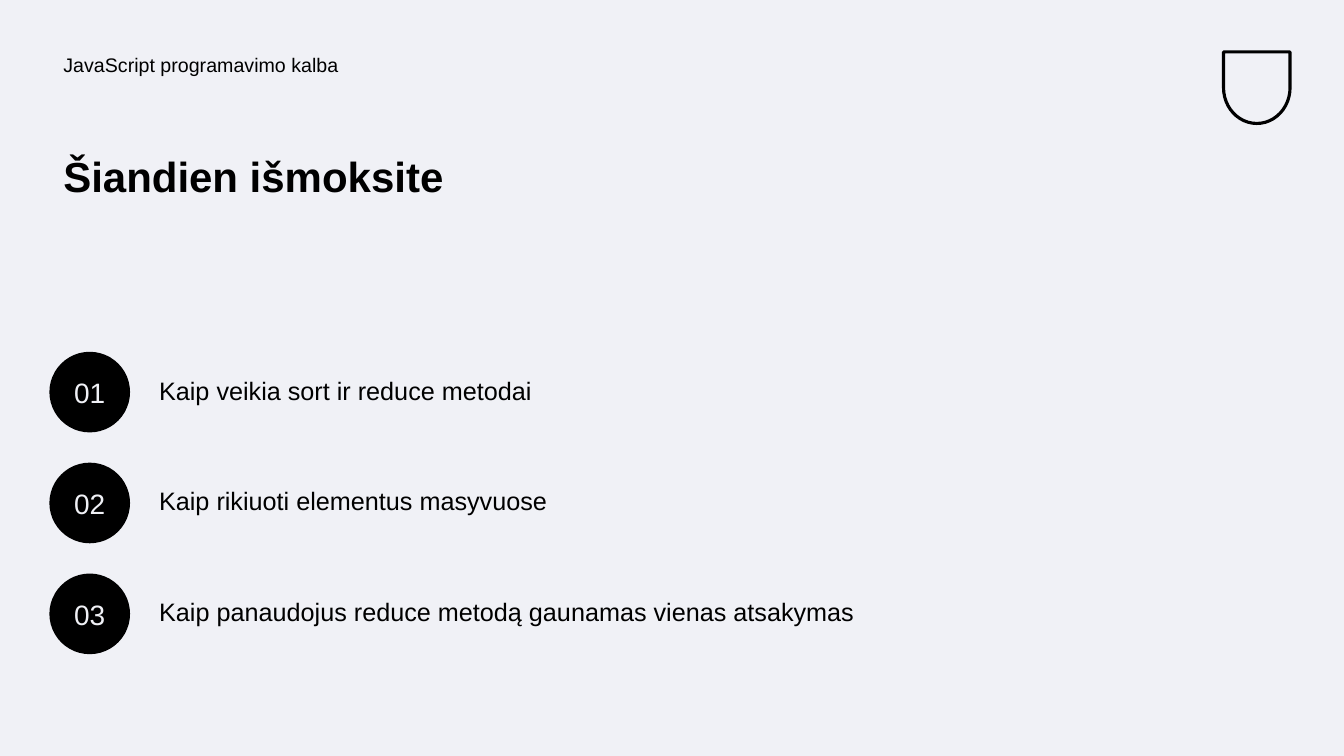
from pptx import Presentation, util as u
from pptx.dml.color import RGBColor
from pptx.enum import shapes, text

INK, PALE = "000000", "F0F1F6"


def paint(color, tone):
    color.rgb = RGBColor.from_string(tone)


def write(shape, words, size, tone=INK, bold=False, **form):
    frame = shape.text_frame
    frame.word_wrap = True
    para = frame.paragraphs[0]
    for key, value in form.items():
        setattr(para, key, value)
    run = para.add_run()
    run.text = words
    look = {"name": "Arial", "size": u.Pt(size), "bold": bold}
    for key, value in look.items():
        setattr(run.font, key, value)
    paint(run.font.color, tone)


deck = Presentation()
deck.slide_width, deck.slide_height = u.Inches(13.33), u.Inches(7.5)
slide = deck.slides.add_slide(deck.slide_layouts[6])
back = slide.background.fill
back.solid()
paint(back.fore_color, PALE)
items = slide.shapes

badge = items.add_shape(shapes.MSO_SHAPE.FLOWCHART_DELAY,
                        *map(u.Inches, (12.11, 0.54, 0.71, 0.66)))
badge.rotation = 90
badge.shadow.inherit = False
badge.fill.background()
badge.line.width = u.Pt(2.25)
paint(badge.line.color, INK)

heads = [
    ("JavaScript programavimo kalba", 14, False, (0.53, 0.5, 7.42, 0.5)),
    ("Šiandien išmoksite", 30, True, (0.53, 1.5, 5.64, 1.49)),
]
for words, size, bold, place in heads:
    box = items.add_textbox(*map(u.Inches, place))
    write(box, words, size, bold=bold, line_spacing=0.9)

goals = [
    ("Kaip veikia sort ir reduce metodai", 5.77),
    ("Kaip rikiuoti elementus masyvuose", 5.77),
    ("Kaip panaudojus reduce metodą gaunamas vienas atsakymas", 8.21),
]
for row, (goal, width) in enumerate(goals):
    top = 3.49 + 1.1 * row
    disc = items.add_shape(shapes.MSO_SHAPE.OVAL,
                           *map(u.Inches, (0.49, top, 0.8, 0.8)))
    disc.shadow.inherit = False
    disc.fill.solid()
    paint(disc.fill.fore_color, INK)
    disc.line.fill.background()
    disc.text_frame.vertical_anchor = text.MSO_ANCHOR.MIDDLE
    write(disc, f"{row + 1:02}", 20, PALE, alignment=text.PP_ALIGN.CENTER)
    box = items.add_textbox(*map(u.Inches, (1.48, top + 0.18, width, 0.45)))
    write(box, goal, 18)

deck.save("out.pptx")
